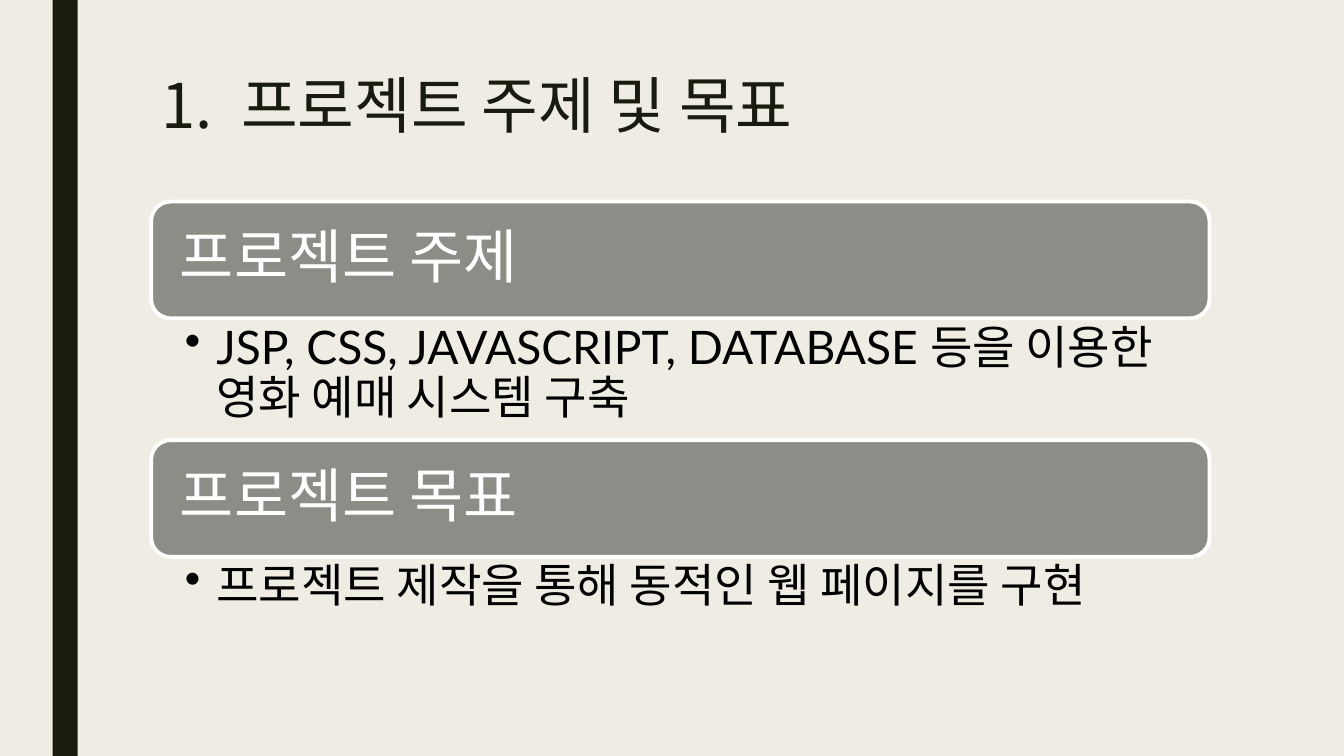
import pptx
import pptx.dml.color
import pptx.enum.shapes
import pptx.enum.text
import pptx.oxml.ns
import pptx.util
from lxml import etree

Pt = pptx.util.Pt
qn = pptx.oxml.ns.qn
ANCHOR = pptx.enum.text.MSO_ANCHOR
SHAPE = pptx.enum.shapes.MSO_SHAPE
CJK = "Noto Sans CJK KR"
DARK = "191B0E"
TOPICS = [
    ("프로젝트 주제", "JSP, CSS, JAVASCRIPT, DATABASE 등을 이용한 영화 예매 시스템 구축", 87),
    ("프로젝트 목표", "프로젝트 제작을 통해 동적인 웹 페이지를 구현", 55),
]


def color(code):
    """Return the colour for a hex string."""
    return pptx.dml.color.RGBColor.from_string(code)


def write(shape, text, size, face, code, insets, anchor, space=0.9):
    """Fill a shape with one left-aligned paragraph and return it."""
    frame = shape.text_frame
    frame.word_wrap = True
    frame.auto_size = pptx.enum.text.MSO_AUTO_SIZE.NONE
    frame.vertical_anchor = anchor
    side, edge = insets
    frame.margin_left = frame.margin_right = Pt(side)
    frame.margin_top = frame.margin_bottom = Pt(edge)
    para = frame.paragraphs[0]
    para.text = text
    para.alignment = pptx.enum.text.PP_ALIGN.LEFT
    para.line_spacing = space
    return para, (size, face, code)


def style(para, look):
    """Set the font of a paragraph, with its East Asian face."""
    size, face, code = look
    font = para.font
    font.size = Pt(size)
    font.name = face
    font.color.rgb = color(code)
    props = para._p.pPr.find(qn("a:defRPr"))
    etree.SubElement(props, qn("a:ea"), typeface=CJK)


def block(slide, kind, box, fill):
    """Add a filled shape without outline or shadow."""
    shape = slide.shapes.add_shape(kind, *map(Pt, box))
    shape.shadow.inherit = False
    shape.fill.solid()
    shape.fill.fore_color.rgb = color(fill)
    shape.line.fill.background()
    return shape


def heading(slide, text, box):
    """Place the title, with a tab stop after its number."""
    title = slide.shapes.title
    title.left, title.top, title.width, title.height = map(Pt, box)
    para, look = write(title, text, 44, CJK, DARK, (7.2, 0), ANCHOR.TOP, 0.89)
    tabs = etree.SubElement(para._p.pPr, qn("a:tabLst"))
    etree.SubElement(tabs, qn("a:tab"), pos=str(Pt(57)), algn="l")
    style(para, look)


def banner(slide, text, box):
    """Draw a rounded grey bar with its heading."""
    bar = block(slide, SHAPE.ROUNDED_RECTANGLE, box, "8C8D86")
    bar.line.color.rgb = color("FFFFFF")
    bar.line.width = Pt(2.75)
    style(*write(bar, text, 42, "Lato", "FFFFFF", (16.5, 12), ANCHOR.MIDDLE))


def detail(slide, text, box):
    """Place a bulleted line of text."""
    note = slide.shapes.add_textbox(*map(Pt, box))
    para, look = write(note, text, 33, "Lato", "000000", (24, 4.2), ANCHOR.TOP)
    props = para._p.pPr
    props.set("marL", str(Pt(22.5)))
    props.set("indent", str(Pt(-22.5)))
    etree.SubElement(props, qn("a:buChar"), char="•")
    style(para, look)


def topics(slide, items, left, top, width):
    """Stack bars and their details from the top down."""
    bar = 83.4
    for name, text, high in items:
        banner(slide, name, (left, top, width, bar))
        detail(slide, text, (left, top + bar, width, high))
        top += bar + high


def main():
    """Build and save the slide."""
    deck = pptx.Presentation()
    deck.slide_width, deck.slide_height = Pt(960), Pt(540)
    slide = deck.slides.add_slide(deck.slide_layouts[5])
    back = slide.background.fill
    back.solid()
    back.fore_color.rgb = color("EFEDE3")
    block(slide, SHAPE.RECTANGLE, (37.5, 0, 18, 540), DARK)
    heading(slide, "1.\t프로젝트 주제 및 목표", (108, 54, 756, 67.5))
    topics(slide, TOPICS, 108, 144, 756)
    deck.save("out.pptx")


if __name__ == "__main__":
    main()
